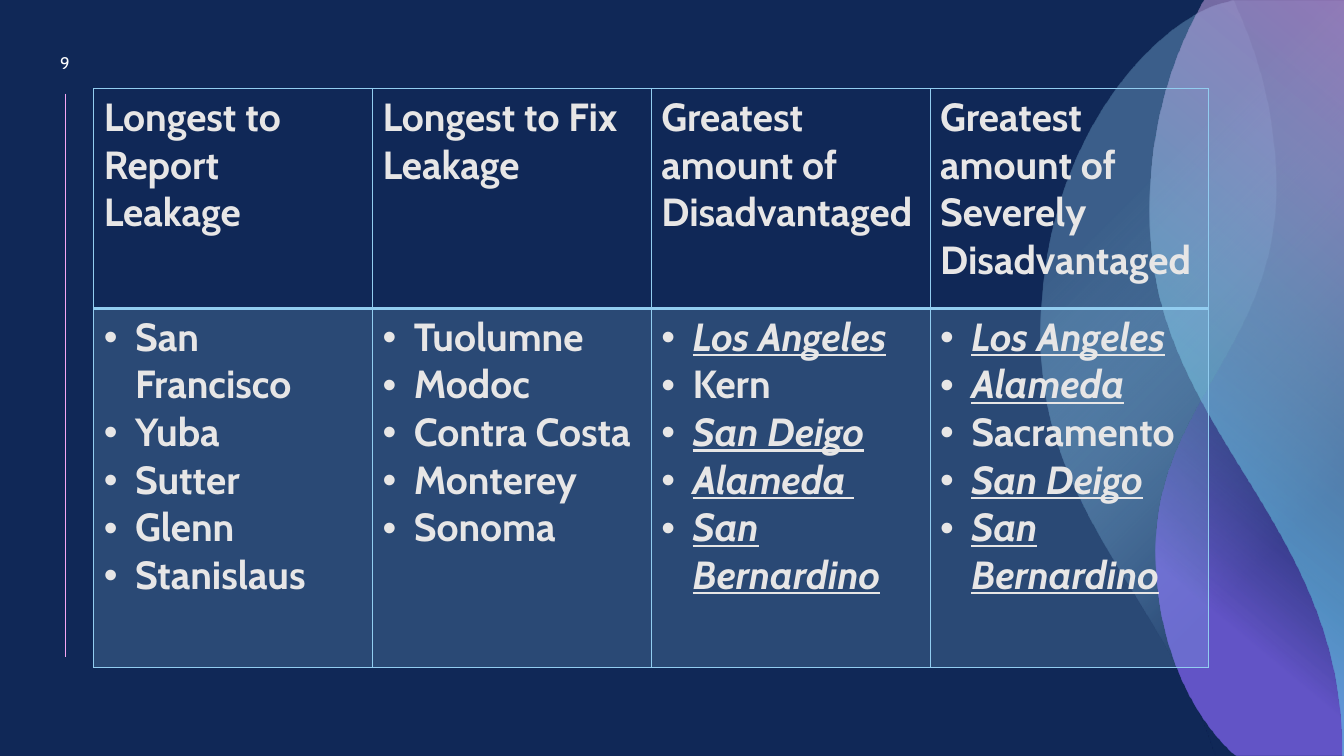
from lxml import etree
from pptx import Presentation, util as u
from pptx.dml.color import RGBColor
from pptx.enum import shapes, text
from pptx.oxml.ns import qn

WIDTH, HEIGHT = 13.33, 7.5
FONT = "Cabin"
COLORS = {"navy": "102857", "sky": "92CDF0", "violet": "765FE1", "aqua": "64DFED",
          "pink": "F6A6F4", "gray": "E7E6E6", "white": "FFFFFF"}

COLUMNS = [
    ("Longest to Report Leakage", ["San Francisco", "Yuba", "Sutter", "Glenn", "Stanislaus"]),
    ("Longest to Fix Leakage", ["Tuolumne", "Modoc", "Contra Costa", "Monterey", "Sonoma"]),
    ("Greatest amount of Disadvantaged",
     ["Los Angeles", "Kern", "San Deigo", "Alameda ", "San Bernardino"]),
    ("Greatest amount of Severely Disadvantaged",
     ["Los Angeles", "Alameda", "Sacramento", "San Deigo", "San Bernardino"]),
]
SHARED = {name.strip() for name in COLUMNS[2][1]} & set(COLUMNS[3][1])
TABLE_LEFT, TABLE_TOP, TABLE_WIDTH = 0.93, 0.88, 11.06
ROW_HEIGHTS = [2.18, 3.56]

WAVES = [
    {"center": 11.83, "rotation": 90, "stops": [(26, "navy", 100), (73, "sky", 33)], "angle": None,
     "edge": [(12.2, 0), (13.34, 0), (13.34, 7.5), (12.04, 7.5), (12.02, 7.43)],
     "curves": [(11.54, 5.95), (10.31, 5.03), (10.31, 3.34),
                (10.3, 1.51), (11.32, 0.31), (12.05, 0.04)]},
    {"center": 12.4, "rotation": 270, "stops": [(37, "navy", 28), (79, "violet", 80)], "angle": 220,
     "edge": [(12.23, 0), (13.33, 0), (13.33, 7.5), (12.26, 7.5), (12.24, 7.49)],
     "curves": [(11.85, 7.14), (11.46, 6.43), (11.46, 5.46),
                (11.47, 4.04), (12.63, 3.43), (12.65, 1.92),
                (12.66, 1.17), (12.48, 0.58), (12.28, 0.12)]},
    {"center": 12.36, "rotation": 90, "stops": [(32, "aqua", 48), (100, "pink", 49)], "angle": 220,
     "edge": [(11.94, 0), (13.33, 0), (13.33, 7.5), (13.3, 7.5), (13.3, 7.37)],
     "curves": [(13.26, 5.14), (11.41, 4.24), (11.4, 2.15),
                (11.39, 1.36), (11.58, 0.69), (11.85, 0.17)]},
]


def rgb(name):
    return RGBColor.from_string(COLORS[name])


def add_child(parent, tag, **attributes):
    values = {key: str(value) for key, value in attributes.items()}
    return etree.SubElement(parent, qn(tag), values)


def add_color(parent, name, opacity=100):
    color = add_child(parent, "a:srgbClr", val=COLORS[name])
    if opacity < 100:
        add_child(color, "a:alpha", val=opacity * 1000)


def bend_segments(shape, first, count):
    segments = list(shape.element.iter(qn("a:lnTo")))[first:first + count]
    for start in range(0, count, 3):
        group = segments[start:start + 3]
        curve = etree.Element(qn("a:cubicBezTo"))
        group[0].addprevious(curve)
        for segment in group:
            curve.append(segment[0])
            segment.getparent().remove(segment)


def add_wave(slide, center, rotation, stops, angle, edge, curves):
    middle = HEIGHT / 2
    turn = 1 if rotation == 90 else -1
    points = [(u.Inches(center + turn * (y - middle)), u.Inches(middle - turn * (x - center)))
              for x, y in edge + curves]
    builder = slide.shapes.build_freeform(*points[0])
    builder.add_line_segments(points[1:], close=True)
    shape = builder.convert_to_shape()
    bend_segments(shape, len(edge) - 1, len(curves))
    shape.rotation = rotation
    shape.shadow.inherit = False
    shape.line.fill.background()
    shape.fill.background()
    gradient = etree.Element(qn("a:gradFill"), rotWithShape="1")
    stop_list = add_child(gradient, "a:gsLst")
    for position, name, opacity in stops:
        add_color(add_child(stop_list, "a:gs", pos=position * 1000), name, opacity)
    if angle is None:
        focus = add_child(gradient, "a:path", path="circle")
        add_child(focus, "a:fillToRect", l=100000, t=100000)
    else:
        add_child(gradient, "a:lin", ang=angle * 60000, scaled=0)
    properties = shape.element.spPr
    properties.replace(properties.find(qn("a:noFill")), gradient)


def add_text(paragraph, words, size, color, bold=False, marked=False):
    run = paragraph.add_run()
    run.text = words
    font = run.font
    font.name, font.size, font.bold = FONT, u.Pt(size), bold
    font.color.rgb = rgb(color)
    if marked:
        font.italic = font.underline = True


def add_borders(cell, widths):
    properties = cell._tc.get_or_add_tcPr()
    for side, width in zip("LRTB", widths):
        line = add_child(properties, "a:ln" + side, w=int(u.Pt(width)))
        add_color(add_child(line, "a:solidFill"), "sky")


def fill_header(cell, heading):
    add_borders(cell, (1, 1, 1, 2))
    cell.fill.background()
    add_text(cell.text_frame.paragraphs[0], heading, 28, "gray", True)


def fill_list(cell, counties):
    add_borders(cell, (1, 1, 2, 1))
    cell.fill.solid()
    cell.fill.fore_color.rgb = rgb("sky")
    color = cell._tc.tcPr.find(qn("a:solidFill"))[0]
    add_child(color, "a:alpha", val=20000)
    frame = cell.text_frame
    for index, county in enumerate(counties):
        paragraph = frame.add_paragraph() if index else frame.paragraphs[0]
        properties = paragraph._p.get_or_add_pPr()
        indent = int(u.Inches(0.31))
        properties.set("marL", str(indent))
        properties.set("indent", str(-indent))
        add_child(properties, "a:buFont", typeface="Arial")
        add_child(properties, "a:buChar", char="•")
        add_text(paragraph, county, 28, "gray", True, county.strip() in SHARED)


def add_county_table(slide):
    frame = slide.shapes.add_table(
        len(ROW_HEIGHTS), len(COLUMNS), u.Inches(TABLE_LEFT), u.Inches(TABLE_TOP),
        u.Inches(TABLE_WIDTH), u.Inches(sum(ROW_HEIGHTS)))
    table = frame.table
    table.first_row = table.horz_banding = False
    for row, height in zip(table.rows, ROW_HEIGHTS):
        row.height = u.Inches(height)
    for index, (heading, counties) in enumerate(COLUMNS):
        table.columns[index].width = u.Inches(TABLE_WIDTH / len(COLUMNS))
        fill_header(table.cell(0, index), heading)
        fill_list(table.cell(1, index), counties)


def main():
    presentation = Presentation()
    presentation.slide_width = u.Inches(WIDTH)
    presentation.slide_height = u.Inches(HEIGHT)
    slide = presentation.slides.add_slide(presentation.slide_layouts[6])
    slide.background.fill.solid()
    slide.background.fill.fore_color.rgb = rgb("navy")

    rule = slide.shapes.add_connector(
        shapes.MSO_CONNECTOR.STRAIGHT, *map(u.Inches, (0.65, 0.93, 0.65, 6.52)))
    rule.line.color.rgb = rgb("pink")
    rule.line.width = u.Pt(0.5)
    add_child(rule.element.spPr, "a:effectLst")

    for wave in WAVES:
        add_wave(slide, **wave)

    number = slide.shapes.add_textbox(*map(u.Inches, (0.36, 0.45, 0.57, 0.34))).text_frame
    number.word_wrap = True
    number.vertical_anchor = text.MSO_ANCHOR.MIDDLE
    number.paragraphs[0].alignment = text.PP_ALIGN.CENTER
    add_text(number.paragraphs[0], "9", 12, "white")

    add_county_table(slide)
    presentation.save("out.pptx")


if __name__ == "__main__":
    main()
